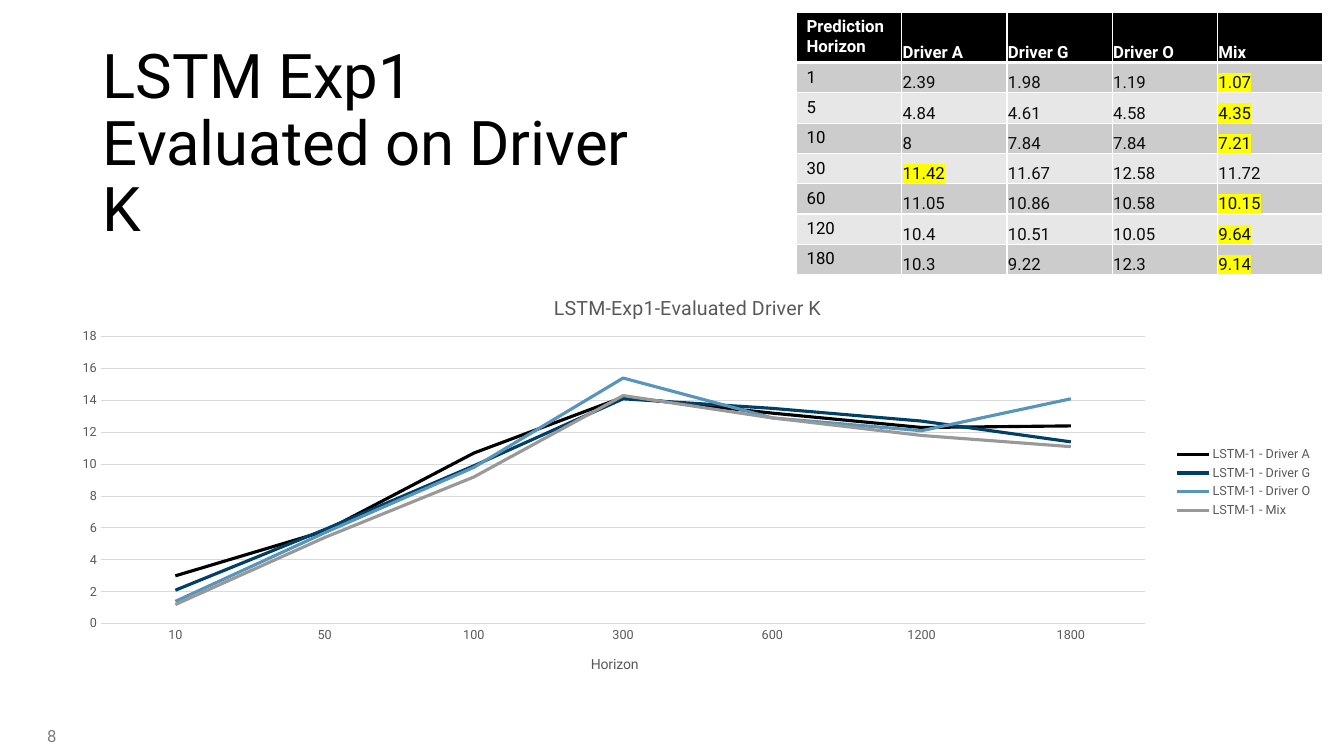
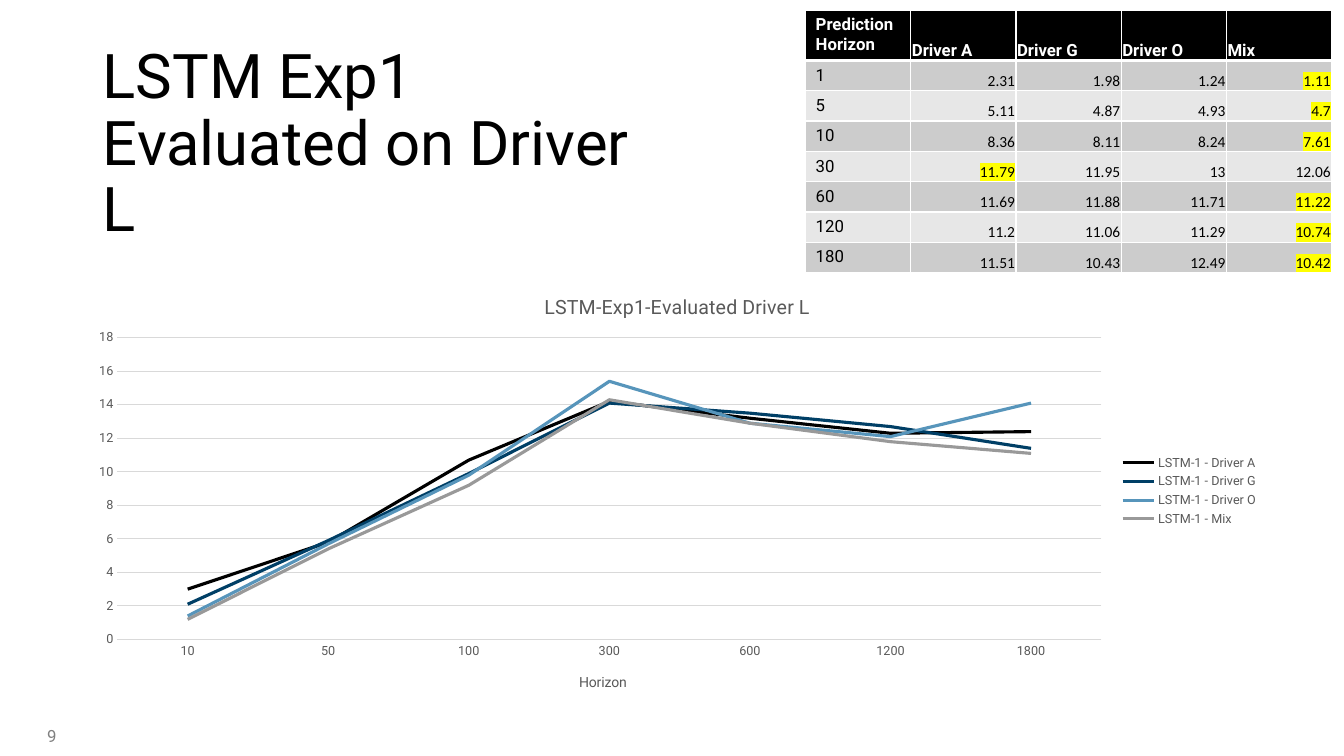
from dataclasses import dataclass
from typing import Any

from lxml.etree import SubElement
from pptx import Presentation
from pptx.chart.data import CategoryChartData
from pptx.dml.color import RGBColor
from pptx.enum.chart import XL_CHART_TYPE as ChartType
from pptx.enum.chart import XL_LEGEND_POSITION as LegendPos
from pptx.enum.chart import XL_TICK_MARK as Tick
from pptx.enum.text import MSO_ANCHOR as Anchor
from pptx.enum.text import MSO_AUTO_SIZE as AutoSize
from pptx.enum.text import PP_ALIGN as Align
from pptx.oxml.ns import qn
from pptx.util import Emu, Pt

BLACK = RGBColor(0x00, 0x00, 0x00)
WHITE = RGBColor(0xFF, 0xFF, 0xFF)
INK = RGBColor(0x0D, 0x0D, 0x0D)
CHART_TEXT = RGBColor(0x59, 0x59, 0x59)
GRID = RGBColor(0xD9, 0xD9, 0xD9)
FOOTER = RGBColor(0x80, 0x80, 0x80)
BANDS = (RGBColor(0xE7, 0xE7, 0xE7), RGBColor(0xCC, 0xCC, 0xCC))
YELLOW = RGBColor(0xFF, 0xFF, 0x00)
FONT = "Roboto"

EMU_PER_PX = 9144
TABLE_W = 522
HEADER_H, ROW_H = 43, 26

HEADERS = ("Prediction Horizon", "Driver A", "Driver G", "Driver O", "Mix")
HORIZONS = (1, 5, 10, 30, 60, 120, 180)
CATEGORIES = ("10", "50", "100", "300", "600", "1200", "1800")


@dataclass(frozen=True)
class Series:
    name: str
    color: RGBColor
    values: tuple[float, ...]


@dataclass(frozen=True)
class Box:
    x: int
    y: int
    w: int
    h: int

    def emu(self) -> tuple[Emu, Emu, Emu, Emu]:
        return px(self.x), px(self.y), px(self.w), px(self.h)


@dataclass(frozen=True)
class ValueStyle:
    font: str
    size: int
    color: RGBColor
    align: Align


@dataclass(frozen=True)
class Evaluation:
    driver: str
    number: int
    table_at: tuple[int, int]
    chart_box: Box
    style: ValueStyle
    errors: tuple[tuple[float, ...], ...]


TITLE_BOX = Box(92, 40, 586, 145)
NUMBER_BOX = Box(37, 715, 71, 30)

SERIES = (
    Series("LSTM-1 - Driver A", BLACK, (3, 5.8, 10.7, 14.2, 13.2, 12.3, 12.4)),
    Series("LSTM-1 - Driver G", RGBColor(0x00, 0x3F, 0x66),
           (2.1, 5.9, 9.9, 14.1, 13.5, 12.7, 11.4)),
    Series("LSTM-1 - Driver O", RGBColor(0x57, 0x95, 0xBB),
           (1.4, 5.7, 9.8, 15.4, 12.9, 12.1, 14.1)),
    Series("LSTM-1 - Mix", RGBColor(0x99, 0x99, 0x99),
           (1.2, 5.4, 9.2, 14.3, 12.9, 11.8, 11.1)),
)

EVALUATIONS = (
    Evaluation("K", 8, (790, 12), Box(56, 272, 1256, 413),
               ValueStyle(FONT, 12, INK, Align.LEFT), (
                   (2.39, 1.98, 1.19, 1.07),
                   (4.84, 4.61, 4.58, 4.35),
                   (8, 7.84, 7.84, 7.21),
                   (11.42, 11.67, 12.58, 11.72),
                   (11.05, 10.86, 10.58, 10.15),
                   (10.4, 10.51, 10.05, 9.64),
                   (10.3, 9.22, 12.3, 9.14))),
    Evaluation("L", 9, (799, 10), Box(75, 270, 1183, 434),
               ValueStyle("Calibri", 11, BLACK, Align.RIGHT), (
                   (2.31, 1.98, 1.24, 1.11),
                   (5.11, 4.87, 4.93, 4.7),
                   (8.36, 8.11, 8.24, 7.61),
                   (11.79, 11.95, 13, 12.06),
                   (11.69, 11.88, 11.71, 11.22),
                   (11.2, 11.06, 11.29, 10.74),
                   (11.51, 10.43, 12.49, 10.42))),
)


def px(n: int) -> Emu:
    return Emu(n * EMU_PER_PX)


def set_font(font: Any, size: int, color: RGBColor,
             name: str = FONT, bold: bool = False) -> None:
    font.size, font.name, font.bold = Pt(size), name, bold
    font.color.rgb = color


def add_title(slide: Any, text: str) -> None:
    sp = slide.shapes.title
    sp.left, sp.top, sp.width, sp.height = TITLE_BOX.emu()
    tf = sp.text_frame
    tf.text = text
    tf.word_wrap = True
    tf.auto_size = AutoSize.NONE
    tf.vertical_anchor = Anchor.TOP
    p = tf.paragraphs[0]
    p.alignment = Align.LEFT
    p.line_spacing = 0.9
    set_font(p.font, 44, BLACK)


def add_number(slide: Any, number: int) -> None:
    tf = slide.shapes.add_textbox(*NUMBER_BOX.emu()).text_frame
    tf.word_wrap = True
    tf.text = str(number)
    set_font(tf.paragraphs[0].font, 12, FOOTER)


def set_borders(cell: Any, row: int) -> None:
    tc_pr = cell._tc.get_or_add_tcPr()
    widths = {"L": 1, "R": 1, "T": 3 if row == 1 else 1, "B": 3 if row == 0 else 1}
    for i, (side, width) in enumerate(widths.items()):
        ln = SubElement(tc_pr, qn(f"a:ln{side}"), w=str(Pt(width)))
        fill = SubElement(ln, qn("a:solidFill"))
        SubElement(fill, qn("a:srgbClr"), val=str(WHITE))
        tc_pr.insert(i, ln)


def highlight(run: Any) -> None:
    mark = SubElement(run._r.get_or_add_rPr(), qn("a:highlight"))
    SubElement(mark, qn("a:srgbClr"), val=str(YELLOW))


def fill_cell(cell: Any, text: str, row: int, col: int, style: ValueStyle) -> None:
    cell.fill.solid()
    cell.fill.fore_color.rgb = BANDS[row % 2] if row else BLACK
    set_borders(cell, row)
    if col:
        cell.vertical_anchor = Anchor.BOTTOM
        cell.margin_left = cell.margin_right = cell.margin_top = px(1)
        cell.margin_bottom = 0
    cell.text = text
    p = cell.text_frame.paragraphs[0]
    if row == 0:
        set_font(p.font, 12, WHITE, bold=True)
    elif col == 0:
        set_font(p.font, 12, BLACK)
    else:
        p.alignment = style.align
        set_font(p.font, style.size, style.color, style.font)


def add_error_table(slide: Any, ev: Evaluation) -> None:
    x, y = ev.table_at
    box = Box(x, y, TABLE_W, HEADER_H + ROW_H * len(HORIZONS))
    table = slide.shapes.add_table(len(HORIZONS) + 1, len(HEADERS), *box.emu()).table
    for column in table.columns:
        column.width = px(TABLE_W) // len(HEADERS)
    for i, table_row in enumerate(table.rows):
        table_row.height = px(ROW_H if i else HEADER_H)
    for col, header in enumerate(HEADERS):
        fill_cell(table.cell(0, col), header, 0, col, ev.style)
    for row, (horizon, errors) in enumerate(zip(HORIZONS, ev.errors), 1):
        for col, value in enumerate((horizon, *errors)):
            cell = table.cell(row, col)
            fill_cell(cell, f"{value:g}", row, col, ev.style)
            if col and value == min(errors):
                highlight(cell.text_frame.paragraphs[0].runs[0])


def place(element: Any, **fractions: float) -> None:
    for old in element.findall(qn("c:layout")):
        element.remove(old)
    layout = SubElement(element, qn("c:layout"))
    manual = SubElement(layout, qn("c:manualLayout"))
    if "w" in fractions:
        SubElement(manual, qn("c:layoutTarget"), val="inner")
    for axis in "xy":
        SubElement(manual, qn(f"c:{axis}Mode"), val="edge")
    for key, value in fractions.items():
        SubElement(manual, qn(f"c:{key}"), val=str(value))
    element.insert(0 if element.find(qn("c:tx")) is None else 1, layout)


def set_chart_title(title: Any, text: str, size: int, x: float, y: float) -> None:
    title.text_frame.text = text
    set_font(title.text_frame.paragraphs[0].font, size, CHART_TEXT)
    place(title.element, x=x, y=y)


def set_line(line: Any, color: RGBColor, width: float) -> None:
    line.color.rgb = color
    line.width = Pt(width)


def add_error_chart(slide: Any, ev: Evaluation) -> None:
    data = CategoryChartData()
    data.categories = CATEGORIES
    for series in SERIES:
        data.add_series(series.name, series.values)
    chart = slide.shapes.add_chart(ChartType.LINE, *ev.chart_box.emu(), data).chart
    set_font(chart.font, 10, BLACK)
    set_chart_title(chart.chart_title, f"LSTM-Exp1-Evaluated Driver {ev.driver}",
                    14, 0.39, 0.04)
    place(chart.element.find(".//" + qn("c:plotArea")),
          x=0.035, y=0.15, w=0.825, h=0.69)

    chart.has_legend = True
    chart.legend.position = LegendPos.RIGHT
    chart.legend.include_in_layout = False
    set_font(chart.legend.font, 9, CHART_TEXT)

    cat, val = chart.category_axis, chart.value_axis
    for axis in (cat, val):
        axis.major_tick_mark = axis.minor_tick_mark = Tick.NONE
        set_font(axis.tick_labels.font, 9, CHART_TEXT)
    set_line(cat.format.line, GRID, 0.75)
    set_chart_title(cat.axis_title, "Horizon", 10, 0.42, 0.91)
    val.minimum_scale, val.maximum_scale, val.major_unit = 0, 18, 2
    val.format.line.fill.background()
    set_line(val.major_gridlines.format.line, GRID, 0.75)

    plot = chart.plots[0]
    plot.vary_by_categories = False
    for line, series in zip(plot.series, SERIES):
        line.smooth = False
        set_line(line.format.line, series.color, 2.25)


def main() -> None:
    prs = Presentation()
    prs.slide_width, prs.slide_height = px(1333), px(750)
    for ev in EVALUATIONS:
        slide = prs.slides.add_slide(prs.slide_layouts[5])
        add_title(slide, f"LSTM Exp1 Evaluated on Driver {ev.driver}")
        add_number(slide, ev.number)
        add_error_chart(slide, ev)
        add_error_table(slide, ev)
    prs.save("out.pptx")


if __name__ == "__main__":
    main()
